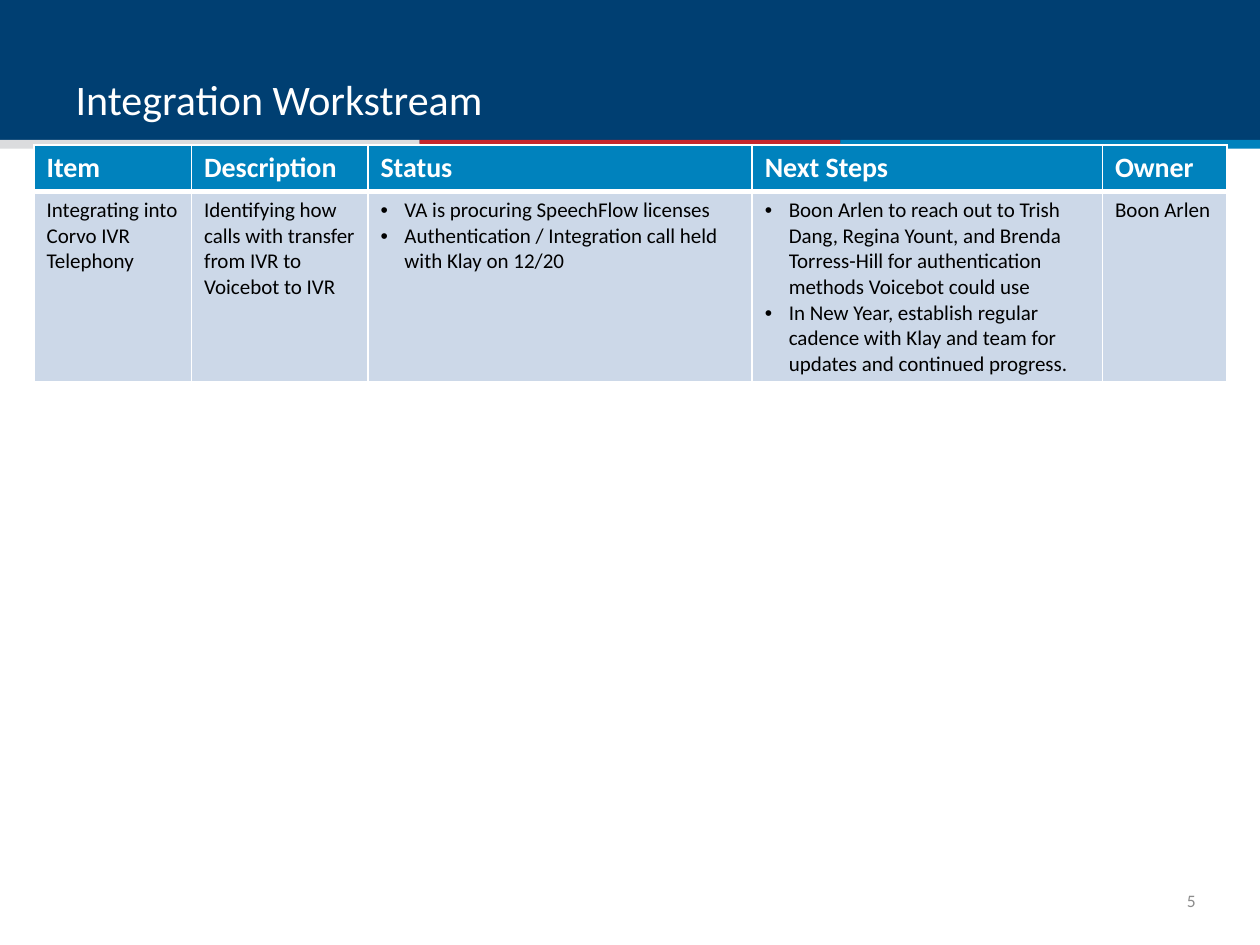
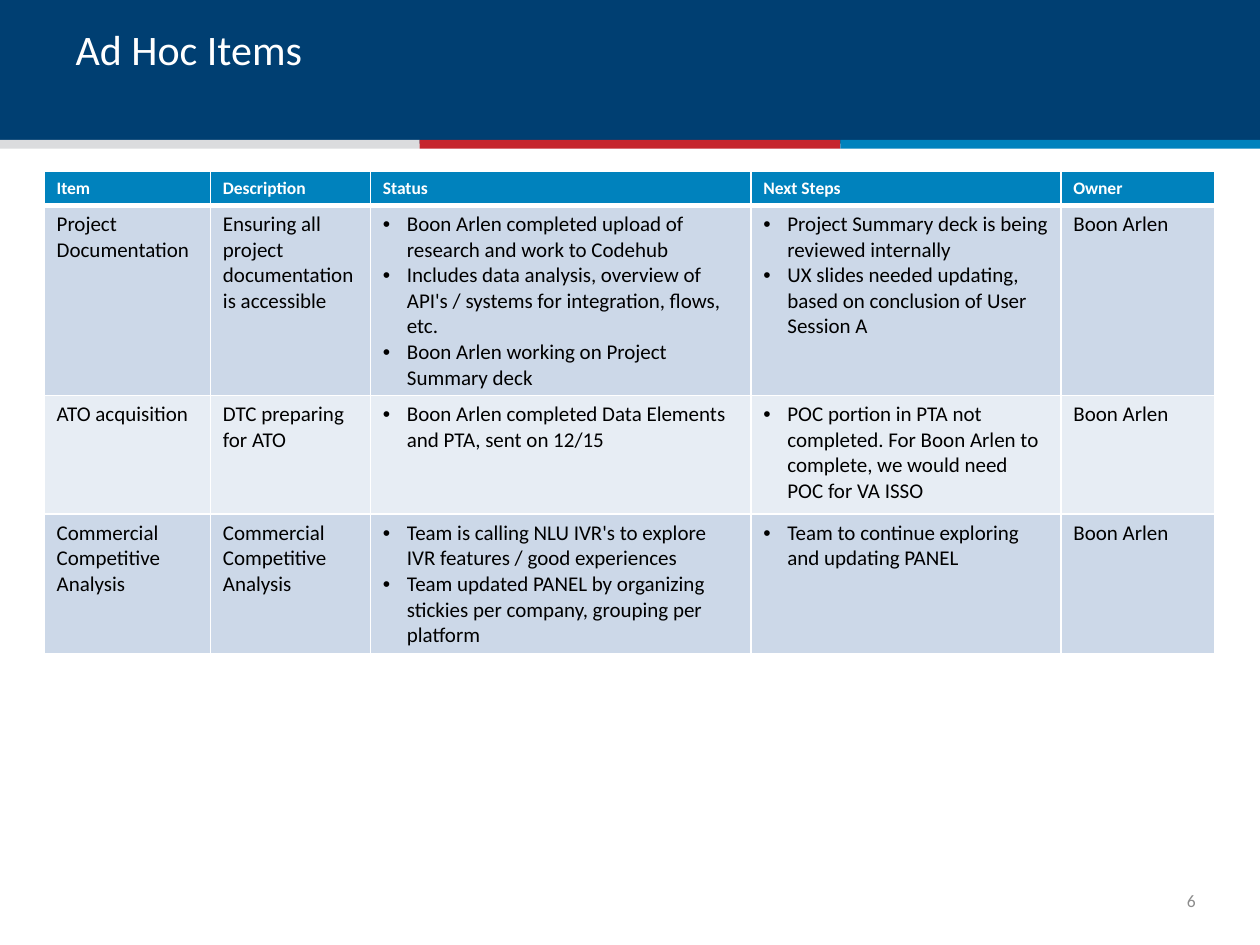
"""Build the status slides for the integration and ad hoc workstreams."""
from dataclasses import dataclass

from lxml import etree
from pptx import Presentation
from pptx import util as u
from pptx.dml import color as col
from pptx.enum import shapes, text
from pptx.oxml import ns

PX = 9144


@dataclass(frozen=True)
class Theme:
    """Hold the colours, font and type sizes of the deck."""
    font: str = "Calibri"
    navy: str = "003F72"
    blue: str = "0082BD"
    red: str = "C6262D"
    silver: str = "DBDCDE"
    white: str = "FFFFFF"
    black: str = "000000"
    gray: str = "8C8C8C"
    bands: tuple = ("CCD8E8", "E7EDF4")
    title: int = 24
    body: int = 12
    page: int = 10
    thin: int = 1
    thick: int = 3


T = Theme()
HEADS = ("Item", "Description", "Status", "Next Steps", "Owner")
LISTS = (2, 3)
FIRM = "Boon Arlen"

DECK = (
    dict(
        title="Integration Workstream", anchor=text.MSO_ANCHOR.BOTTOM, page=5,
        at=(27, 115), cols=(125, 140, 305, 278, 99), rows=(37, 151), head=16,
        items=(
            ("Integrating into Corvo IVR Telephony",
             "Identifying how calls with transfer from IVR to Voicebot to IVR",
             "VA is procuring SpeechFlow licenses\n"
             "Authentication / Integration call held with Klay on 12/20",
             f"{FIRM} to reach out to Trish Dang, Regina Yount, and Brenda "
             "Torress-Hill for authentication methods Voicebot could use\n"
             "In New Year, establish regular cadence with Klay and team for "
             "updates and continued progress.",
             FIRM),
        ),
    ),
    dict(
        title="Ad Hoc Items", anchor=text.MSO_ANCHOR.TOP, page=6,
        at=(35, 136), cols=(132, 127, 302, 246, 122),
        rows=(27, 151, 94, 111), head=10,
        items=(
            ("Project Documentation",
             "Ensuring all project documentation is accessible",
             f"{FIRM} completed upload of research and work to Codehub\n"
             "Includes data analysis, overview of API's / systems for "
             "integration, flows, etc.\n"
             f"{FIRM} working on Project Summary deck",
             "Project Summary deck is being reviewed internally\n"
             "UX slides needed updating, based on conclusion of User Session A",
             FIRM),
            ("ATO acquisition",
             "DTC preparing for ATO",
             f"{FIRM} completed Data Elements and PTA, sent on 12/15",
             f"POC portion in PTA not completed. For {FIRM} to complete, "
             "we would need POC for VA ISSO",
             FIRM),
            ("Commercial Competitive Analysis",
             "Commercial\nCompetitive\nAnalysis",
             "Team is calling NLU IVR's to explore IVR features / good "
             "experiences\n"
             "Team updated PANEL by organizing stickies per company, grouping "
             "per platform",
             "Team to continue exploring and updating PANEL",
             FIRM),
        ),
    ),
)


def put(obj, **vals):
    """Set each named value on an object."""
    for key, val in vals.items():
        setattr(obj, key, val)


def emu(*vals):
    """Turn px lengths into EMU."""
    return [val * PX for val in vals]


def paint(fill, hue):
    """Give a fill one solid colour."""
    fill.solid()
    fill.fore_color.rgb = col.RGBColor.from_string(hue)


def write(para, words, size, hue, bold=False):
    """Put one styled run into a paragraph."""
    run = para.add_run()
    run.text = words
    put(run.font, name=T.font, size=u.Pt(size), bold=bold)
    run.font.color.rgb = col.RGBColor.from_string(hue)


def bullet(para):
    """Give a paragraph a hanging bullet."""
    props = para._p.get_or_add_pPr()
    props.set("marL", str(19 * PX))
    props.set("indent", str(-19 * PX))
    etree.SubElement(props, ns.qn("a:buFont")).set("typeface", "Arial")
    etree.SubElement(props, ns.qn("a:buChar")).set("char", "•")


def edge(cell, side, width):
    """Draw one white border of a cell."""
    props = cell._tc.get_or_add_tcPr()
    line = etree.SubElement(props, ns.qn(f"a:ln{side}"), w=str(u.Pt(width)))
    fill = etree.SubElement(line, ns.qn("a:solidFill"))
    etree.SubElement(fill, ns.qn("a:srgbClr")).set("val", T.white)


def banner(slide, layout):
    """Draw the navy band and its stripes, and move them to the layout."""
    bars = [((-1, 0, 1001, 114), T.navy)]
    for i, hue in enumerate((T.silver, T.red, T.blue)):
        bars.append(((-1 + i * 334, 111, 334, 7), hue))
    tree = layout.shapes.element
    for i, (box, hue) in enumerate(bars):
        bar = slide.shapes.add_shape(shapes.MSO_SHAPE.RECTANGLE, *emu(*box))
        bar.shadow.inherit = False
        paint(bar.fill, hue)
        bar.line.fill.background()
        bar.element.nvSpPr.cNvPr.set("id", str(20 + i))
        tree.insert(2 + i, bar.element)


def heading(slide, words, anchor, box=(50, 14, 900, 89)):
    """Format the title placeholder inside its box."""
    title = slide.shapes.title
    put(title, **dict(zip(("left", "top", "width", "height"), emu(*box))))
    frame = title.text_frame
    put(frame, word_wrap=True, vertical_anchor=anchor,
        auto_size=text.MSO_AUTO_SIZE.NONE)
    frame.paragraphs[0].alignment = text.PP_ALIGN.LEFT
    write(frame.paragraphs[0], words, T.title, T.white)


def footer(slide, page, box=(922, 695, 27, 40)):
    """Write the page number at the lower right."""
    frame = slide.shapes.add_textbox(*emu(*box)).text_frame
    put(frame, word_wrap=True, vertical_anchor=text.MSO_ANCHOR.MIDDLE,
        margin_left=0, margin_right=0, margin_top=0, margin_bottom=0)
    frame.paragraphs[0].alignment = text.PP_ALIGN.RIGHT
    write(frame.paragraphs[0], str(page), T.page, T.gray)


def entry(cell, words, row, listed, size):
    """Fill one table cell with its borders, colour and text."""
    for side in "LRTB":
        rule = (row, side) in ((0, "B"), (1, "T"))
        edge(cell, side, T.thick if rule else T.thin)
    top = row == 0
    paint(cell.fill, T.blue if top else T.bands[(row - 1) % 2])
    frame = cell.text_frame
    for i, line in enumerate(words.split("\n")):
        para = frame.add_paragraph() if i else frame.paragraphs[0]
        write(para, line, size, T.white if top else T.black, top)
        if listed and not top:
            bullet(para)


def grid(slide, at, cols, rows, head, items):
    """Place the status table at its corner."""
    box = (*at, sum(cols), sum(rows))
    table = slide.shapes.add_table(len(rows), len(cols), *emu(*box)).table
    for part, width in zip(table.columns, cols):
        part.width = width * PX
    for part, height in zip(table.rows, rows):
        part.height = height * PX
    for r, line in enumerate((HEADS, *items)):
        for c, words in enumerate(line):
            entry(table.cell(r, c), words, r, c in LISTS, T.body if r else head)


def page(deck, layout, data):
    """Add one status slide."""
    slide = deck.slides.add_slide(layout)
    heading(slide, data["title"], data["anchor"])
    footer(slide, data["page"])
    grid(slide, *(data[key] for key in ("at", "cols", "rows", "head", "items")))
    return slide


def main():
    """Build and save the deck."""
    deck = Presentation()
    put(deck, slide_width=1000 * PX, slide_height=750 * PX)
    layout = deck.slide_layouts[5]
    made = [page(deck, layout, data) for data in DECK]
    banner(made[0], layout)
    deck.save("out.pptx")


if __name__ == "__main__":
    main()
